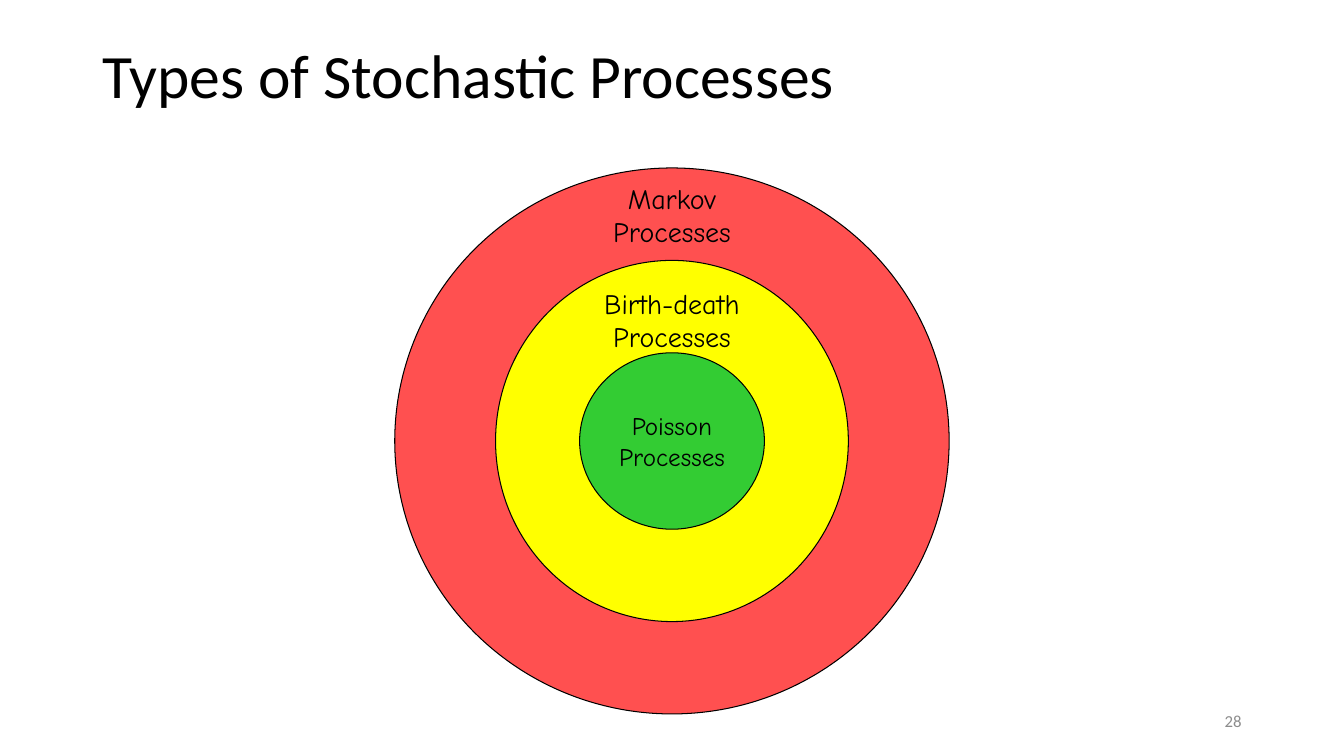
from dataclasses import dataclass
from typing import Optional

from pptx import Presentation
from pptx.dml.color import RGBColor
from pptx.enum.shapes import MSO_SHAPE
from pptx.enum.text import MSO_ANCHOR, PP_ALIGN
from pptx.slide import Slide
from pptx.text.text import TextFrame
from pptx.util import Inches, Length, Pt

COLUMNS, ROWS = 160, 90
CELL = Inches(1 / 12)
CENTER = COLUMNS / 2

BLACK = RGBColor(0x00, 0x00, 0x00)
GRAY = RGBColor(0x8C, 0x8C, 0x8C)
RED = RGBColor(0xFF, 0x50, 0x50)
YELLOW = RGBColor(0xFF, 0xFF, 0x00)
GREEN = RGBColor(0x33, 0xCC, 0x33)


@dataclass(frozen=True)
class Lettering:
    size: int
    font: str
    color: RGBColor = BLACK
    align: PP_ALIGN = PP_ALIGN.CENTER
    anchor: MSO_ANCHOR = MSO_ANCHOR.TOP
    wrap: bool = False
    line_spacing: Optional[float] = None


@dataclass(frozen=True)
class Ring:
    row: int
    columns: int
    rows: int
    color: RGBColor


@dataclass(frozen=True)
class Caption:
    lines: tuple[str, ...]
    column: float
    row: float
    columns: float
    rows: float
    lettering: Lettering


TITLE = Lettering(44, "Calibri", align=PP_ALIGN.LEFT, wrap=True, line_spacing=0.9)
PAGE = Lettering(12, "Calibri", GRAY, PP_ALIGN.RIGHT, MSO_ANCHOR.MIDDLE, True)
OUTER = Lettering(20, "Comic Neue")
INNER = Lettering(18, "Comic Neue", anchor=MSO_ANCHOR.MIDDLE)

MARKOV = Ring(20, 66, 65, RED)
BIRTH_DEATH = Ring(31, 42, 43, YELLOW)
POISSON = Ring(42, 22, 21, GREEN)

CAPTIONS = (
    Caption(("Types of Stochastic Processes",), 11, 4.8, 138, 17.4, TITLE),
    Caption(("Birth-death", "Processes"), CENTER - 10.4, 33.5, 20.8, 9.24, OUTER),
    Caption(("Markov", "Processes"), CENTER - 8.9, 21, 17.8, 9.24, OUTER),
    Caption(("28",), 113, 83.4, 36, 4.8, PAGE),
)


def cells(count: float) -> Length:
    return Length(round(count * CELL))


def write(frame: TextFrame, lines: tuple[str, ...], lettering: Lettering) -> None:
    frame.word_wrap = lettering.wrap
    frame.vertical_anchor = lettering.anchor
    for index, line in enumerate(lines):
        paragraph = frame.add_paragraph() if index else frame.paragraphs[0]
        paragraph.alignment = lettering.align
        paragraph.line_spacing = lettering.line_spacing
        run = paragraph.add_run()
        run.text = line
        run.font.size = Pt(lettering.size)
        run.font.name = lettering.font
        run.font.color.rgb = lettering.color


def draw_ring(slide: Slide, ring: Ring) -> TextFrame:
    ellipse = slide.shapes.add_shape(
        MSO_SHAPE.OVAL,
        cells(CENTER - ring.columns / 2),
        cells(ring.row),
        cells(ring.columns),
        cells(ring.rows),
    )
    ellipse.shadow.inherit = False
    ellipse.fill.solid()
    ellipse.fill.fore_color.rgb = ring.color
    ellipse.line.color.rgb = BLACK
    ellipse.line.width = Pt(0.75)
    return ellipse.text_frame


def draw_caption(slide: Slide, caption: Caption) -> None:
    box = slide.shapes.add_textbox(
        cells(caption.column),
        cells(caption.row),
        cells(caption.columns),
        cells(caption.rows),
    )
    write(box.text_frame, caption.lines, caption.lettering)


def main() -> None:
    deck = Presentation()
    deck.slide_width = cells(COLUMNS)
    deck.slide_height = cells(ROWS)
    slide = deck.slides.add_slide(deck.slide_layouts[6])
    draw_ring(slide, MARKOV)
    draw_ring(slide, BIRTH_DEATH)
    write(draw_ring(slide, POISSON), ("Poisson", "Processes"), INNER)
    for caption in CAPTIONS:
        draw_caption(slide, caption)
    deck.save("out.pptx")


if __name__ == "__main__":
    main()
